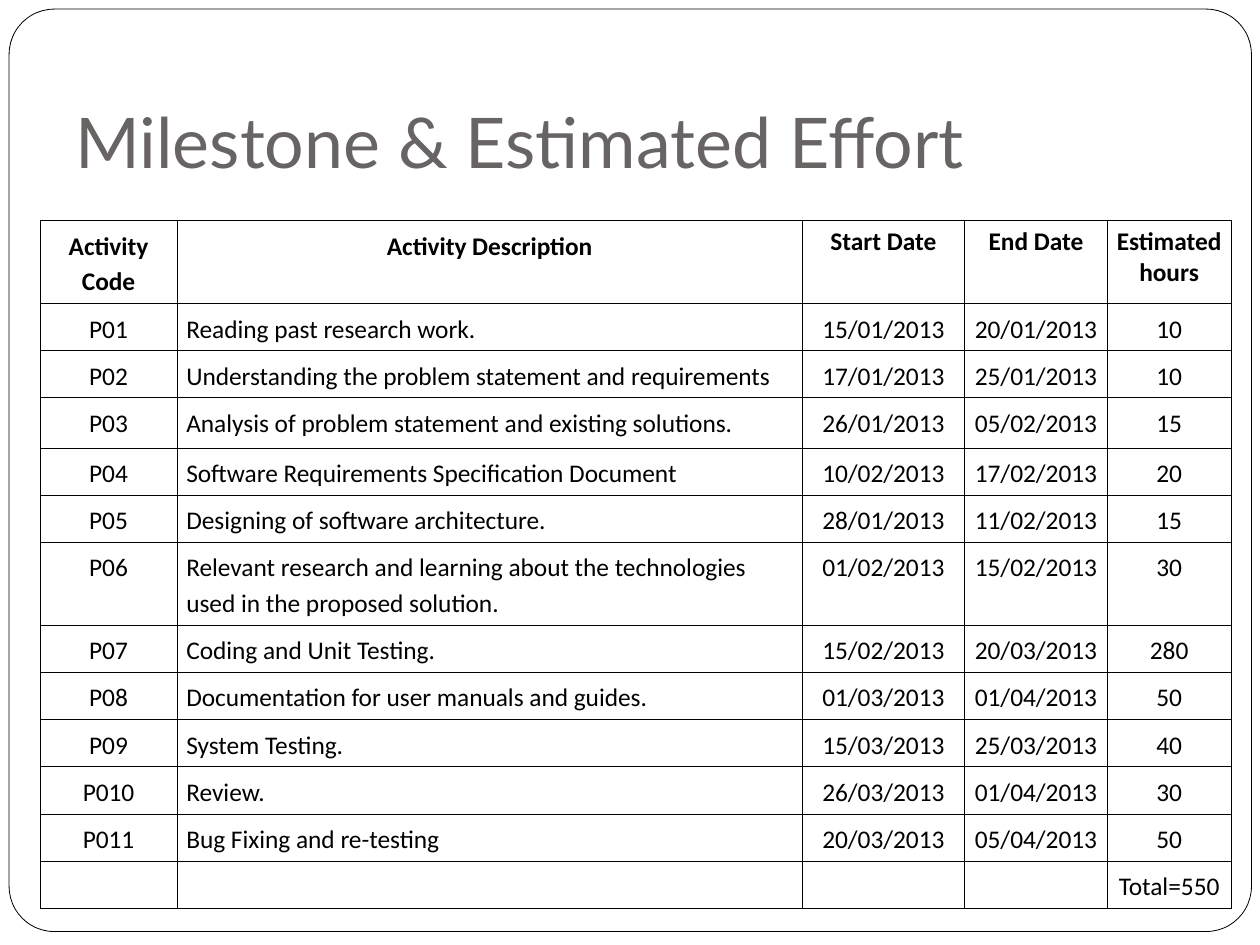
from dataclasses import dataclass

from lxml import etree
from pptx import Presentation
from pptx.dml.color import RGBColor
from pptx.enum.shapes import MSO_SHAPE
from pptx.enum.text import MSO_ANCHOR, MSO_AUTO_SIZE, PP_ALIGN
from pptx.oxml.ns import qn
from pptx.util import Inches, Pt

ROUNDED = MSO_SHAPE.ROUNDED_RECTANGLE
BOTTOM, TOP = MSO_ANCHOR.BOTTOM, MSO_ANCHOR.TOP
LEFT, CENTER = PP_ALIGN.LEFT, PP_ALIGN.CENTER
NO_FIT = MSO_AUTO_SIZE.NONE

# Content
TITLE = "Milestone & Estimated Effort"
HEADER = ("Activity Code", "Activity Description", "Start Date", "End Date", "Estimated hours")
ACTIVITIES = [
    ("P01", "Reading past research work.", "15/01/2013", "20/01/2013", 10),
    ("P02", "Understanding the problem statement and requirements", "17/01/2013", "25/01/2013", 10),
    ("P03", "Analysis of problem statement and existing solutions.", "26/01/2013", "05/02/2013", 15),
    ("P04", "Software Requirements Specification Document", "10/02/2013", "17/02/2013", 20),
    ("P05", "Designing of software architecture.", "28/01/2013", "11/02/2013", 15),
    ("P06", "Relevant research and learning about the technologies used in the proposed solution.",
     "01/02/2013", "15/02/2013", 30),
    ("P07", "Coding and Unit Testing.", "15/02/2013", "20/03/2013", 280),
    ("P08", "Documentation for user manuals and guides.", "01/03/2013", "01/04/2013", 50),
    ("P09", "System Testing.", "15/03/2013", "25/03/2013", 40),
    ("P010", "Review.", "26/03/2013", "01/04/2013", 30),
    ("P011", "Bug Fixing and re-testing", "20/03/2013", "05/04/2013", 50),
]
TOTAL = ("", "", "", "", f"Total={sum(a[-1] for a in ACTIVITIES)}")
ROWS = [HEADER, *ACTIVITIES, TOTAL]

SLIDE_POINTS = (793.75, 595.25)
COL_WIDTHS = (1.2, 5.47, 1.42, 1.25, 1.08)
ROW_HEIGHT = 0.41
SPECIAL_HEIGHTS = {0: 0.61, 3: 0.44, 6: 0.61}
DESCRIPTION_COL = 1
SINGLE_SPACED_FROM = 2  # header columns from here on


@dataclass(frozen=True)
class Theme:
    title_font: str = "Lato"
    body_font: str = "Calibri"
    title_size: float = 44
    body_size: float = 16
    frame_line: float = 0.5
    grid_line: float = 0.45
    title: RGBColor = RGBColor(0x69, 0x64, 0x64)
    ink: RGBColor = RGBColor(0, 0, 0)
    paper: RGBColor = RGBColor(0xFF, 0xFF, 0xFF)


THEME = Theme()


def add_run(p, text, font, size, color, bold=False):
    r = p.add_run()
    r.text = text
    r.font.name, r.font.size, r.font.bold = font, Pt(size), bold
    r.font.color.rgb = color


def set_borders(cell):
    tc_pr = cell._tc.get_or_add_tcPr()
    for side in ("a:lnL", "a:lnR", "a:lnT", "a:lnB"):
        line = etree.SubElement(tc_pr, qn(side), w=str(Pt(THEME.grid_line)))
        fill = etree.SubElement(line, qn("a:solidFill"))
        etree.SubElement(fill, qn("a:srgbClr"), val=str(THEME.ink))


def add_frame(s):
    sp = s.shapes.add_shape(ROUNDED, Inches(0.08), Inches(0.08), Inches(10.87), Inches(8.07))
    sp.adjustments[0] = 0.049
    sp.shadow.inherit = False
    sp.fill.solid()
    sp.fill.fore_color.rgb = THEME.paper
    sp.line.color.rgb = THEME.ink
    sp.line.width = Pt(THEME.frame_line)
    s.shapes._spTree.insert(2, sp._element)  # behind the title


def add_title(s):
    sp = s.shapes.title
    sp.left, sp.top, sp.width, sp.height = Inches(0.55), Inches(0.33), Inches(9.92), Inches(1.38)
    tf = sp.text_frame
    tf.auto_size, tf.word_wrap, tf.vertical_anchor = NO_FIT, True, BOTTOM
    tf.margin_left = tf.margin_right = tf.margin_bottom = Inches(0.11)
    tf.margin_top = Inches(0.04)
    p = tf.paragraphs[0]
    p.alignment = LEFT
    add_run(p, TITLE, THEME.title_font, THEME.title_size, THEME.title)


def fill_cell(cell, text, row, col):
    cell.margin_left = cell.margin_right = Inches(0.08)
    cell.margin_top = cell.margin_bottom = Inches(0.05)
    cell.vertical_anchor = TOP
    set_borders(cell)
    cell.fill.background()
    if not text:
        return
    is_header = row == 0
    p = cell.text_frame.paragraphs[0]
    p.alignment = LEFT if col == DESCRIPTION_COL and not is_header else CENTER
    p.line_spacing = 1.0 if is_header and col >= SINGLE_SPACED_FROM else 1.15
    add_run(p, text, THEME.body_font, THEME.body_size, THEME.ink, is_header)


def add_schedule(s):
    heights = [SPECIAL_HEIGHTS.get(i, ROW_HEIGHT) for i in range(len(ROWS))]
    table = s.shapes.add_table(len(ROWS), len(HEADER), Inches(0.35), Inches(1.93),
                               Inches(sum(COL_WIDTHS)), Inches(sum(heights))).table
    table.first_row = table.horz_banding = False
    for column, width in zip(table.columns, COL_WIDTHS):
        column.width = Inches(width)
    for i, (height, values) in enumerate(zip(heights, ROWS)):
        table.rows[i].height = Inches(height)
        for j, value in enumerate(values):
            fill_cell(table.cell(i, j), str(value), i, j)


def main():
    prs = Presentation()
    prs.slide_width, prs.slide_height = map(Pt, SLIDE_POINTS)
    s = prs.slides.add_slide(prs.slide_layouts[5])
    add_frame(s)
    add_title(s)
    add_schedule(s)
    prs.save("out.pptx")


if __name__ == "__main__":
    main()
